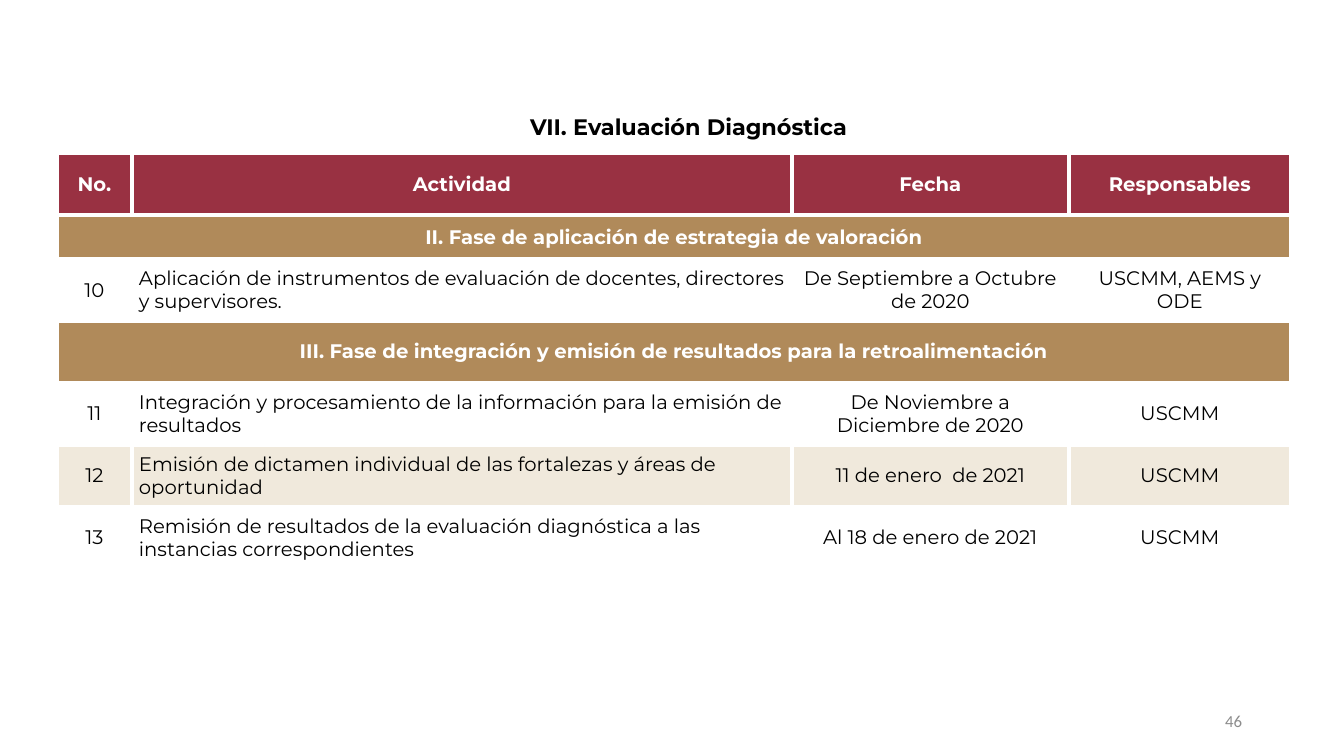
from lxml import etree
from pptx import Presentation
from pptx.dml.color import RGBColor
from pptx.enum.text import MSO_ANCHOR, MSO_AUTO_SIZE, PP_ALIGN
from pptx.oxml.ns import qn
from pptx.util import Emu, Pt

LEFT, CENTER, RIGHT = PP_ALIGN.LEFT, PP_ALIGN.CENTER, PP_ALIGN.RIGHT
TOP, MIDDLE = MSO_ANCHOR.TOP, MSO_ANCHOR.MIDDLE
NO_FIT = MSO_AUTO_SIZE.NONE

SLIDE_WIDTH, SLIDE_HEIGHT = 1344, 756
SCALE = 12192000 / SLIDE_WIDTH
TITLE_ONLY = 5
BORDER = Pt(3)

COLORS = {
    "black": "000000",
    "white": "FFFFFF",
    "grey": "8C8C8C",
    "maroon": "993142",
    "gold": "B08A5A",
    "cream": "F0E9DC",
}

COLUMN_WIDTHS = [75, 660, 277, 222]
ROW_HEIGHT, FIRST_PHASE_HEIGHT = 62, 44
ROWS = [
    ("maroon", ["No.", "Actividad", "Fecha", "Responsables"]),
    ("gold", ["II. Fase de aplicación de estrategia de valoración"]),
    ("white", ["10",
               "Aplicación de instrumentos de evaluación de docentes, directores y supervisores.",
               "De Septiembre a Octubre de 2020", "USCMM, AEMS y ODE"]),
    ("gold", ["III. Fase de integración y emisión de resultados para la retroalimentación"]),
    ("white", ["11",
               "Integración y procesamiento de la información para la emisión de resultados",
               "De Noviembre a Diciembre de 2020", "USCMM"]),
    ("cream", ["12",
               "Emisión de dictamen individual de las fortalezas y áreas de oportunidad",
               "11 de enero  de 2021", "USCMM"]),
    ("white", ["13",
               "Remisión de resultados de la evaluación diagnóstica a las instancias correspondientes",
               "Al 18 de enero de 2021", "USCMM"]),
]


def px(length):
    """Turn a length in px into EMU."""
    return Emu(round(length * SCALE))


def write_text(frame, text, size=14, color="black", bold=False, align=LEFT, font="Montserrat"):
    """Write one formatted paragraph into a text frame."""
    para = frame.paragraphs[0]
    para.alignment = align
    span = para.add_run()
    span.text = text
    span.font.name = font
    span.font.size = Pt(size)
    span.font.bold = bold
    span.font.color.rgb = RGBColor.from_string(COLORS[color])


def add_title(page, text, left, top, width, height):
    """Move the title placeholder into the given box and fill it."""
    title = page.shapes.title
    title.left, title.top, title.width, title.height = map(px, (left, top, width, height))
    frame = title.text_frame
    frame.auto_size = NO_FIT
    frame.word_wrap = False
    frame.vertical_anchor = TOP
    write_text(frame, text, size=16, bold=True)


def format_cell(cell, fill):
    """Give a cell white borders, a fill, margins and a middle anchor."""
    properties = cell._tc.get_or_add_tcPr()
    for side in ("lnL", "lnR", "lnT", "lnB"):
        line = etree.SubElement(properties, qn(f"a:{side}"), w=str(BORDER))
        solid = etree.SubElement(line, qn("a:solidFill"))
        etree.SubElement(solid, qn("a:srgbClr"), val=COLORS["white"])
    cell.fill.solid()
    cell.fill.fore_color.rgb = RGBColor.from_string(COLORS[fill])
    cell.margin_left = cell.margin_right = px(7)
    cell.margin_top = cell.margin_bottom = 0
    cell.vertical_anchor = MIDDLE


def add_schedule(page, left, top):
    """Build the schedule table with its top left corner at the given point."""
    heights = [FIRST_PHASE_HEIGHT if index == 1 else ROW_HEIGHT for index in range(len(ROWS))]
    box = page.shapes.add_table(len(ROWS), len(COLUMN_WIDTHS), px(left), px(top),
                                px(sum(COLUMN_WIDTHS)), px(sum(heights)))
    table = box.table
    table.horz_banding = table.first_row = False
    for column, width in zip(table.columns, COLUMN_WIDTHS):
        column.width = px(width)
    for row, height, (fill, texts) in zip(table.rows, heights, ROWS):
        row.height = px(height)
        cells = list(row.cells)
        for cell in cells:
            format_cell(cell, fill)
        if len(texts) == 1:
            cells[0].merge(cells[-1])
        heading = fill in ("maroon", "gold")
        for index, (cell, text) in enumerate(zip(cells, texts)):
            write_text(cell.text_frame, text, bold=heading,
                       color="white" if heading else "black",
                       align=LEFT if index == 1 and not heading else CENTER)


def add_page_number(page, text, left, top, width, height):
    """Place the page number at the right of the given box."""
    box = page.shapes.add_textbox(*map(px, (left, top, width, height)))
    box.text_frame.word_wrap = True
    box.text_frame.vertical_anchor = MIDDLE
    write_text(box.text_frame, text, size=12, color="grey", align=RIGHT, font="Calibri")


def main():
    """Build and save the deck."""
    deck = Presentation()
    deck.slide_width, deck.slide_height = px(SLIDE_WIDTH), px(SLIDE_HEIGHT)
    page = deck.slides.add_slide(deck.slide_layouts[TITLE_ONLY])
    add_title(page, "VII. Evaluación Diagnóstica", 520, 108, 343, 37)
    add_schedule(page, 57, 153)
    add_page_number(page, "46", 950, 701, 302, 40)
    deck.save("out.pptx")


if __name__ == "__main__":
    main()
